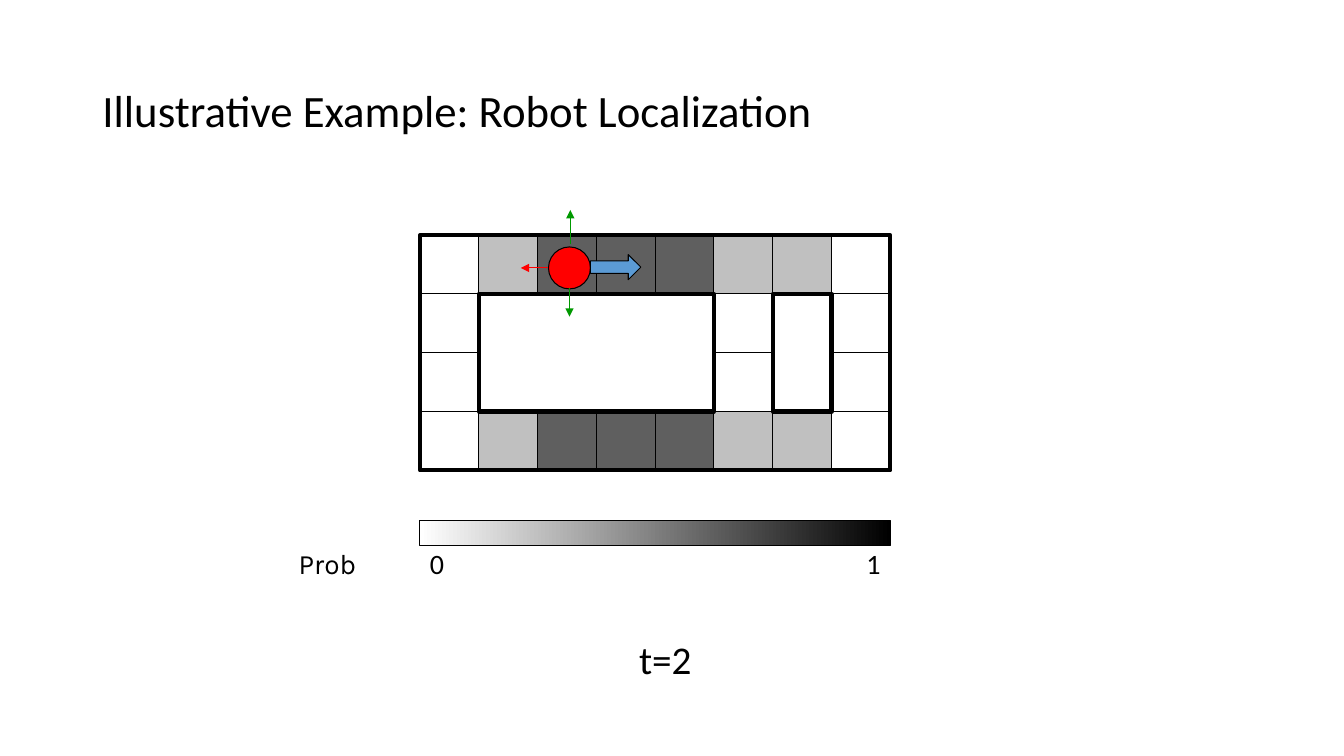
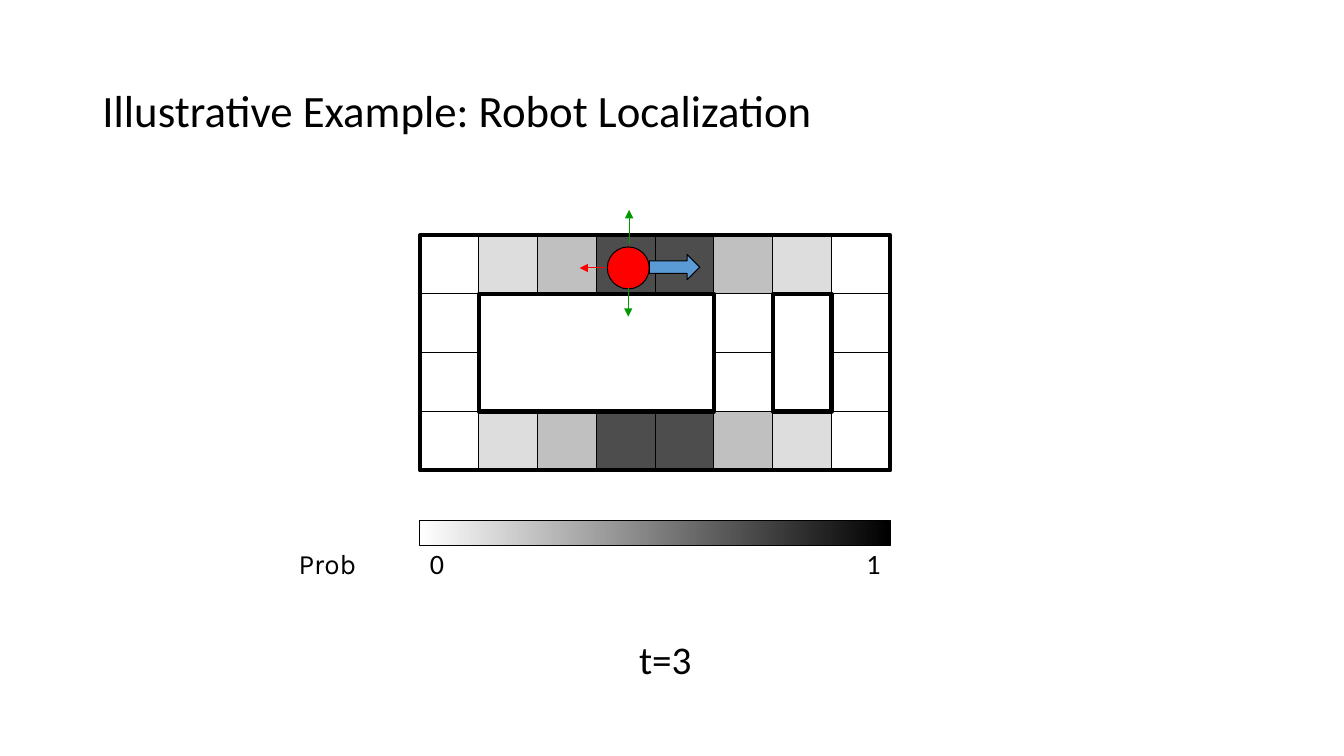
from lxml import etree
from pptx import Presentation
from pptx.dml.color import RGBColor
from pptx.enum.shapes import MSO_CONNECTOR, MSO_SHAPE
from pptx.enum.text import MSO_ANCHOR, MSO_AUTO_SIZE, PP_ALIGN
from pptx.oxml.ns import qn
from pptx.util import Pt

RECT, OVAL, ARROW = MSO_SHAPE.RECTANGLE, MSO_SHAPE.OVAL, MSO_SHAPE.RIGHT_ARROW
STRAIGHT = MSO_CONNECTOR.STRAIGHT
LEFT, CENTER, RIGHT = PP_ALIGN.LEFT, PP_ALIGN.CENTER, PP_ALIGN.RIGHT
TOP, MIDDLE = MSO_ANCHOR.TOP, MSO_ANCHOR.MIDDLE
NO_FIT = MSO_AUTO_SIZE.NONE

SCALE = 7620  # EMU per px, 120 px to the inch
BLACK, WHITE, RED, GREEN, BLUE = "000000", "FFFFFF", "FF0000", "009900", "5B9BD5"
PALE, LIGHT, DARK, DEEP = "DDDDDD", "C0C0C0", "5F5F5F", "4D4D4D"
THIN, THICK = 0.75, 3

TITLE = "Illustrative Example: Robot Localization"
TITLE_BOX = (110, 48, 1380, 174)
STEP_BOX = (282, 757, 1020, 120)
CELL, LEFT_X, TOP_Y = 70, 500, 280
COLS, ROWS = 8, 4
OPEN_COLS = (0, 5, 7)  # free cells between the walls
WALLS = ((1, 1, 4, 2, WHITE), (0, 0, COLS, ROWS, None), (6, 1, 1, 2, None))
LABELS = (
    ("1", (780, 650, 280, 40), "Calibri", RIGHT),
    ("0", (500, 650, 280, 40), "Calibri", LEFT),
    ("Prob", (300, 650, 180, 40), "Karla", CENTER),
)
STEPS = (
    # caption, robot column, shade of each column in the top and bottom rows
    ("t=2", 2, (None, LIGHT, DARK, DARK, DARK, LIGHT, LIGHT, None)),
    ("t=3", 3, (None, PALE, LIGHT, DEEP, DEEP, LIGHT, PALE, None)),
)


def px(*nums):
    return [n * SCALE for n in nums]


def rgb(code):
    return RGBColor.from_string(code)


def apply(item, form):
    for name, value in form.items():
        setattr(item, name, value)


def place(item, box):
    apply(item, dict(zip(("left", "top", "width", "height"), px(*box))))


def write(frame, text, size, align, anchor=MIDDLE, font="Calibri", **form):
    apply(frame, {"word_wrap": True, "auto_size": NO_FIT, "vertical_anchor": anchor})
    para = frame.paragraphs[0]
    para.text = text
    apply(para, {"alignment": align, **form})
    apply(para.font, {"size": Pt(size), "name": font})
    para.font.color.rgb = rgb(BLACK)
    return para


def unbullet(para):
    props = para._p.get_or_add_pPr()
    props.set("marL", "0")
    props.set("indent", "0")
    etree.SubElement(props, qn("a:buNone"))


def draw(slide, kind, box, fill=None, weight=THIN):
    shape = slide.shapes.add_shape(kind, *px(*box))
    shape.shadow.inherit = False
    if fill:
        shape.fill.solid()
        shape.fill.fore_color.rgb = rgb(fill)
    else:
        shape.fill.background()
    shape.line.color.rgb = rgb(BLACK)
    shape.line.width = Pt(weight)
    return shape


def block(slide, col, row, wide=1, high=1, fill=None, weight=THIN):
    """Draw a rectangle measured in grid cells."""
    box = (LEFT_X + col * CELL, TOP_Y + row * CELL, wide * CELL, high * CELL)
    draw(slide, RECT, box, fill, weight)


def ray(slide, ends, color):
    """Draw a thin line with an arrowhead at its far end."""
    line = slide.shapes.add_connector(STRAIGHT, *px(*ends))
    line.line.color.rgb = rgb(color)
    line.line.width = Pt(THIN)
    etree.SubElement(line.line._get_or_add_ln(), qn("a:tailEnd"), type="triangle")
    etree.SubElement(line._element.spPr, qn("a:effectLst"))


def head(slide, step):
    write(slide.shapes.title.text_frame, TITLE, 32, LEFT, line_spacing=0.9)
    body = slide.placeholders[1].text_frame
    unbullet(write(body, step, 28, CENTER, TOP, line_spacing=0.9, space_before=Pt(10)))


def maze(slide, shades):
    for row in range(ROWS):
        edge = row in (0, ROWS - 1)
        for col in range(COLS) if edge else OPEN_COLS:
            block(slide, col, row, fill=shades[col] if edge else None)
    for *area, fill in WALLS:
        block(slide, *area, fill=fill, weight=THICK)


def legend(slide):
    bar = draw(slide, RECT, (LEFT_X, 620, COLS * CELL, 30))
    bar.fill.gradient()
    bar.fill.gradient_angle = 0
    for stop, color in zip(bar.fill.gradient_stops, (WHITE, BLACK)):
        stop.color.rgb = rgb(color)
    for text, box, font, align in LABELS:
        label = slide.shapes.add_textbox(*px(*box))
        write(label.text_frame, text, 20, align, font=font)


def robot(slide, col):
    x, y = LEFT_X + col * CELL + 38, TOP_Y + 39
    draw(slide, OVAL, (x - 25, y - 25, 50, 50), RED)
    ray(slide, (x + 1, y - 29, x + 1, y - 69), GREEN)
    ray(slide, (x, y + 24, x, y + 58), GREEN)
    ray(slide, (x - 26, y, x - 58, y), RED)
    draw(slide, ARROW, (x + 25, y - 16, 60, 30), BLUE)


def main():
    deck = Presentation()
    deck.slide_width, deck.slide_height = px(1600, 900)
    layout = deck.slide_layouts[1]
    for item, box in zip(layout.placeholders, (TITLE_BOX, STEP_BOX)):
        place(item, box)
    for step, col, shades in STEPS:
        slide = deck.slides.add_slide(layout)
        head(slide, step)
        maze(slide, shades)
        legend(slide)
        robot(slide, col)
    deck.save("out.pptx")


if __name__ == "__main__":
    main()
